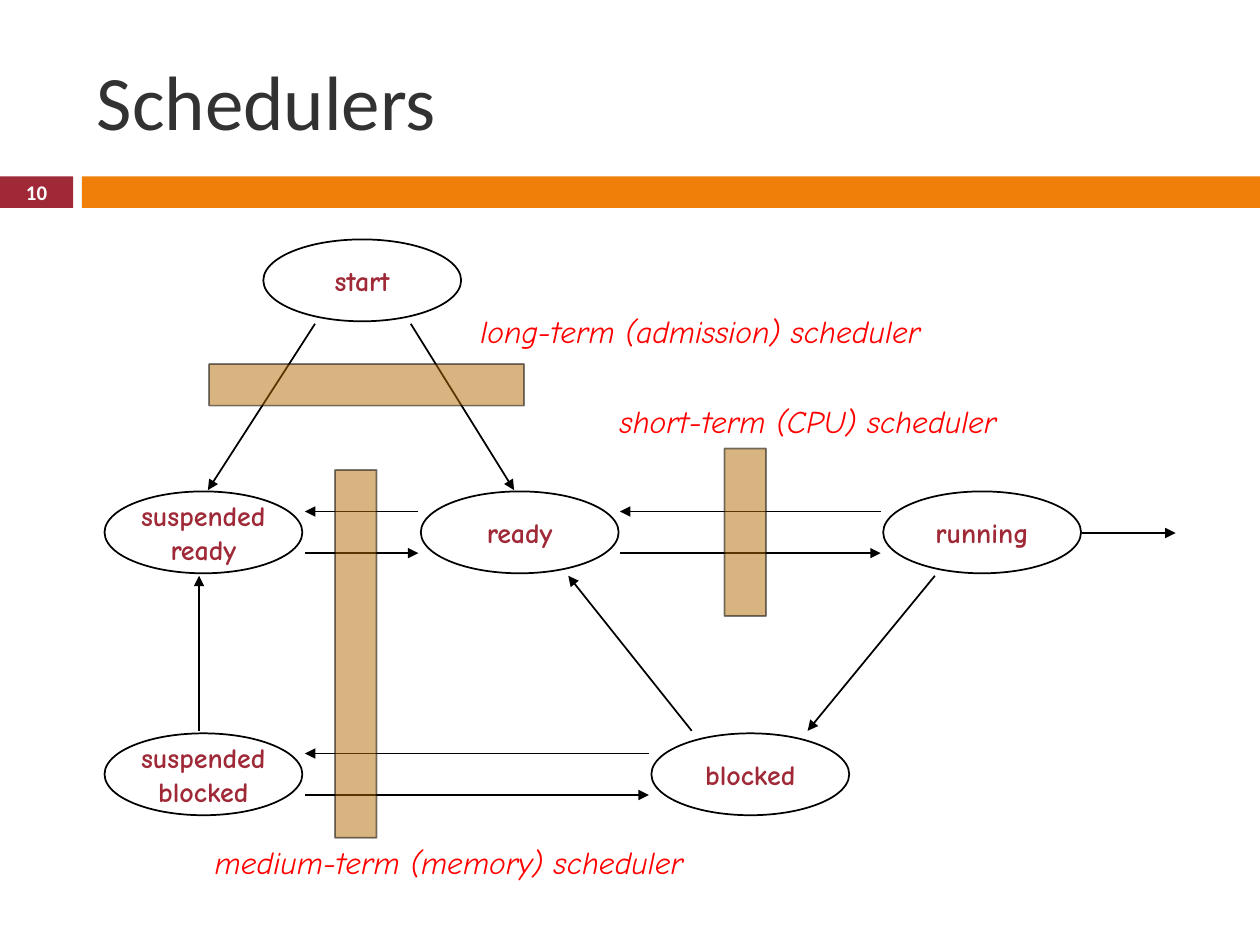
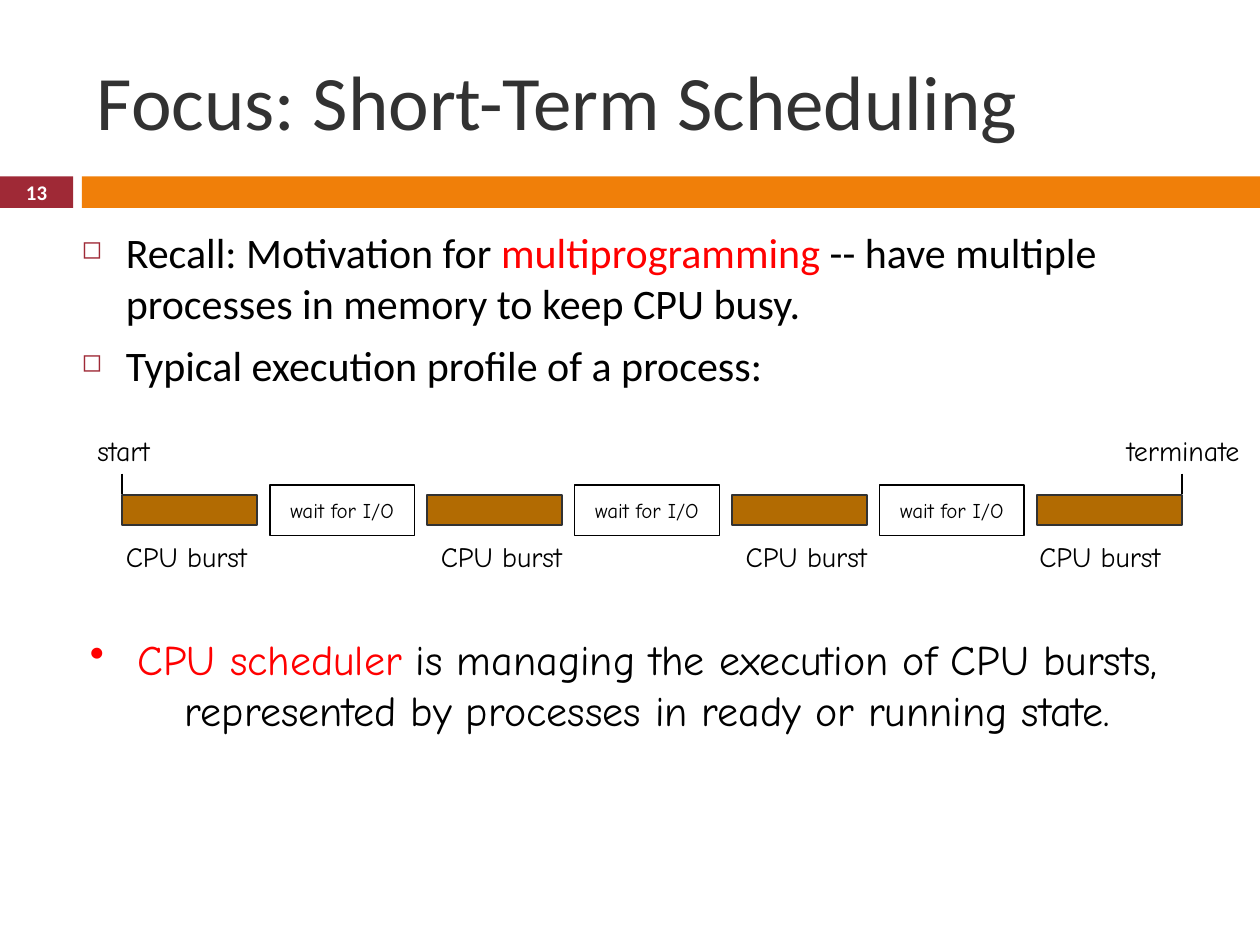
from dataclasses import dataclass
from typing import Optional

from lxml.etree import SubElement
from pptx import Presentation
from pptx.dml.color import RGBColor
from pptx.enum.shapes import MSO_CONNECTOR, MSO_SHAPE
from pptx.enum.text import MSO_ANCHOR, PP_ALIGN
from pptx.oxml.ns import qn
from pptx.util import Inches, Pt


@dataclass(frozen=True)
class Theme:
    crimson: str = "9F2936"
    orange: str = "F07F09"
    brown: str = "B26B02"
    charcoal: str = "323232"
    red: str = "FF0000"
    black: str = "000000"
    white: str = "FFFFFF"
    sans: str = "Calibri"
    comic: str = "Comic Neue"
    title_size: float = 44
    body_size: float = 24
    label_size: float = 18
    state_size: float = 16
    small_size: float = 12
    number_size: float = 11.9
    line_width: float = 1


THEME = Theme()


@dataclass(frozen=True)
class Box:
    left: float
    top: float
    width: float
    height: float

    def lengths(self) -> tuple:
        return tuple(Inches(v) for v in (self.left, self.top, self.width, self.height))


@dataclass(frozen=True)
class TextStyle:
    size: float
    color: str
    font: str = THEME.comic
    bold: bool = False
    italic: bool = False
    align: PP_ALIGN = PP_ALIGN.CENTER
    anchor: MSO_ANCHOR = MSO_ANCHOR.TOP
    wrap: bool = False
    inset: bool = True


@dataclass(frozen=True)
class Span:
    text: str
    color: str = THEME.black


@dataclass(frozen=True)
class Bullet:
    mark: str
    indent: float
    space_before: float
    color: Optional[str] = None
    percent: int = 100


@dataclass(frozen=True)
class Arrow:
    start: tuple[float, float]
    end: tuple[float, float]


TITLE = TextStyle(THEME.title_size, THEME.charcoal, THEME.sans,
                  align=PP_ALIGN.LEFT, anchor=MSO_ANCHOR.MIDDLE, wrap=True)
NUMBER = TextStyle(THEME.number_size, THEME.white, THEME.sans, bold=True,
                   anchor=MSO_ANCHOR.MIDDLE, wrap=True, inset=False)
STATE = TextStyle(THEME.state_size, THEME.crimson, bold=True, anchor=MSO_ANCHOR.MIDDLE)
SCHEDULER = TextStyle(THEME.label_size, THEME.red, italic=True)
CAPTION = TextStyle(THEME.state_size, THEME.black)
WAIT = TextStyle(THEME.small_size, THEME.black, anchor=MSO_ANCHOR.MIDDLE)
BODY = TextStyle(THEME.body_size, THEME.black, THEME.sans, align=PP_ALIGN.LEFT, wrap=True)
SUMMARY = TextStyle(THEME.body_size, THEME.black, wrap=True)
SQUARE = Bullet("◻", 0.35, 7, THEME.crimson, 60)
DOT = Bullet("•", 0.38, 4.8)


def rgb(color: str) -> RGBColor:
    return RGBColor.from_string(color)


def format_span(span, style: TextStyle, color: str) -> None:
    span.font.name = style.font
    span.font.size = Pt(style.size)
    span.font.bold = style.bold
    span.font.italic = style.italic
    span.font.color.rgb = rgb(color)


def prepare_frame(frame, style: TextStyle) -> None:
    frame.word_wrap = style.wrap
    frame.vertical_anchor = style.anchor
    frame.margin_left = frame.margin_right = Inches(0.1 if style.inset else 0)
    frame.margin_top = frame.margin_bottom = Inches(0.05 if style.inset else 0)


def fill_text(frame, text: str, style: TextStyle) -> None:
    prepare_frame(frame, style)
    frame.text = text
    for para in frame.paragraphs:
        para.alignment = style.align
        for span in para.runs:
            format_span(span, style, style.color)


def add_text(page, box: Box, text: str, style: TextStyle) -> None:
    fill_text(page.shapes.add_textbox(*box.lengths()).text_frame, text, style)


def set_bullet(para, bullet: Bullet) -> None:
    para.space_before = Pt(bullet.space_before)
    properties = para._p.get_or_add_pPr()
    properties.set("marL", str(Inches(bullet.indent)))
    properties.set("indent", str(-Inches(bullet.indent)))
    if bullet.color:
        holder = SubElement(properties, qn("a:buClr"))
        SubElement(holder, qn("a:srgbClr"), val=bullet.color)
    SubElement(properties, qn("a:buSzPct"), val=str(bullet.percent * 1000))
    SubElement(properties, qn("a:buChar"), char=bullet.mark)


def add_bullets(page, box: Box, items: list[list[Span]], style: TextStyle,
                bullet: Bullet) -> None:
    frame = page.shapes.add_textbox(*box.lengths()).text_frame
    prepare_frame(frame, style)
    for index, item in enumerate(items):
        para = frame.add_paragraph() if index else frame.paragraphs[0]
        para.alignment = style.align
        set_bullet(para, bullet)
        for part in item:
            span = para.add_run()
            span.text = part.text
            format_span(span, style, part.color)


def set_alpha(color_format_owner, percent: int) -> None:
    for color in color_format_owner.iter(qn("a:srgbClr")):
        SubElement(color, qn("a:alpha"), val=str(percent * 1000))


def add_box(page, box: Box, fill: Optional[str] = None, line: Optional[str] = None,
            kind: MSO_SHAPE = MSO_SHAPE.RECTANGLE):
    shape = page.shapes.add_shape(kind, *box.lengths())
    shape.shadow.inherit = False
    if fill:
        shape.fill.solid()
        shape.fill.fore_color.rgb = rgb(fill)
    else:
        shape.fill.background()
    if line:
        shape.line.color.rgb = rgb(line)
        shape.line.width = Pt(THEME.line_width)
    else:
        shape.line.fill.background()
    return shape


def add_state(page, left: float, top: float, name: str) -> None:
    oval = add_box(page, Box(left, top, 1.57, 0.65), THEME.white, THEME.black,
                   MSO_SHAPE.OVAL)
    fill_text(oval.text_frame, name, STATE)


def add_scheduler_band(page, box: Box) -> None:
    band = add_box(page, box, THEME.brown, THEME.black)
    set_alpha(band._element.spPr, 50)


def add_line(page, path: Arrow, pointed: bool = True) -> None:
    points = (Inches(v) for v in (*path.start, *path.end))
    line = page.shapes.add_connector(MSO_CONNECTOR.STRAIGHT, *points)
    line.line.color.rgb = rgb(THEME.black)
    line.line.width = Pt(THEME.line_width)
    if pointed:
        SubElement(line.line._get_or_add_ln(), qn("a:tailEnd"), type="triangle")
    SubElement(line._element.spPr, qn("a:effectLst"))


def add_page(deck, title: str, number: int):
    page = deck.slides.add_slide(deck.slide_layouts[6])
    add_box(page, Box(0, 1.4, 0.58, 0.25), THEME.crimson)
    add_box(page, Box(0.65, 1.4, 9.35, 0.25), THEME.orange)
    add_text(page, Box(0.67, 0.25, 8.92, 1.08), title, TITLE)
    add_text(page, Box(0, 1.39, 0.58, 0.27), str(number), NUMBER)
    return page


def build_schedulers(deck) -> None:
    page = add_page(deck, "Schedulers", 10)
    middle, bottom = 3.9, 5.82
    states = [
        (2.09, 1.9, "start"),
        (0.83, middle, "suspended\nready"),
        (3.34, middle, "ready"),
        (7.01, middle, "running"),
        (0.83, bottom, "suspended\nblocked"),
        (5.17, bottom, "blocked"),
    ]
    for left, top, name in states:
        add_state(page, left, top, name)

    arrows = [
        Arrow((2.5, 2.57), (1.65, 3.89)),
        Arrow((3.26, 2.57), (4.08, 3.89)),
        Arrow((8.59, 4.23), (9.33, 4.23)),
        Arrow((7.42, 4.57), (6.41, 5.8)),
        Arrow((5.49, 5.8), (4.51, 4.57)),
        Arrow((1.58, 5.8), (1.58, 4.57)),
    ]
    for left, right, row in [(2.42, 3.32, middle), (4.92, 6.99, middle),
                             (2.42, 5.15, bottom)]:
        arrows.append(Arrow((right, row + 0.16), (left, row + 0.16)))
        arrows.append(Arrow((left, row + 0.49), (right, row + 0.49)))
    for arrow in arrows:
        add_line(page, arrow)

    schedulers = [
        (Box(1.66, 2.89, 2.5, 0.33), Box(3.67, 2.43, 3.78, 0.4),
         "long-term (admission) scheduler"),
        (Box(2.66, 3.73, 0.33, 2.92), Box(1.58, 6.64, 3.97, 0.4),
         "medium-term (memory) scheduler"),
        (Box(5.75, 3.56, 0.33, 1.33), Box(4.75, 3.14, 3.33, 0.4),
         "short-term (CPU) scheduler"),
    ]
    for band, label, name in schedulers:
        add_scheduler_band(page, band)
        add_text(page, label, name, SCHEDULER)


def build_short_term(deck) -> None:
    page = add_page(deck, "Focus: Short-Term Scheduling", 13)
    add_bullets(page, Box(0.55, 1.75, 9.17, 1.58), [
        [Span("Recall: Motivation for "), Span("multiprogramming", THEME.red),
         Span(" -- have multiple processes in memory to keep CPU busy.")],
        [Span("Typical execution profile of a process:")],
    ], BODY, SQUARE)

    first, last, pitch = 0.97, 9.38, 2.42
    label_lefts = [0.86, 3.36, 5.78, 8.11]
    for index, label_left in enumerate(label_lefts):
        left = first + index * pitch
        is_final = index == len(label_lefts) - 1
        width = last - left if is_final else 1.07
        add_box(page, Box(left, 3.93, width, 0.24), THEME.brown, THEME.charcoal)
        add_text(page, Box(label_left, 4.23, 1.24, 0.36), "CPU burst", CAPTION)
        if not is_final:
            wait = add_box(page, Box(left + 1.17, 3.85, 1.15, 0.4), line=THEME.black)
            fill_text(wait.text_frame, "wait for I/O", WAIT)

    for tick, left, width, name in [(first, 0.61, 0.74, "start"),
                                    (last, 8.78, 1.22, "terminate")]:
        add_line(page, Arrow((tick, 3.76), (tick, 3.92)), pointed=False)
        add_text(page, Box(left, 3.39, width, 0.36), name, CAPTION)

    add_bullets(page, Box(0.52, 4.98, 8.86, 1.58), [
        [Span("CPU scheduler", THEME.red),
         Span(" is managing the execution of CPU bursts, represented by processes "
              "in ready or running state.")],
    ], SUMMARY, DOT)


def main() -> None:
    deck = Presentation()
    deck.slide_width, deck.slide_height = Inches(10), Inches(7.5)
    build_schedulers(deck)
    build_short_term(deck)
    deck.save("out.pptx")


if __name__ == "__main__":
    main()
